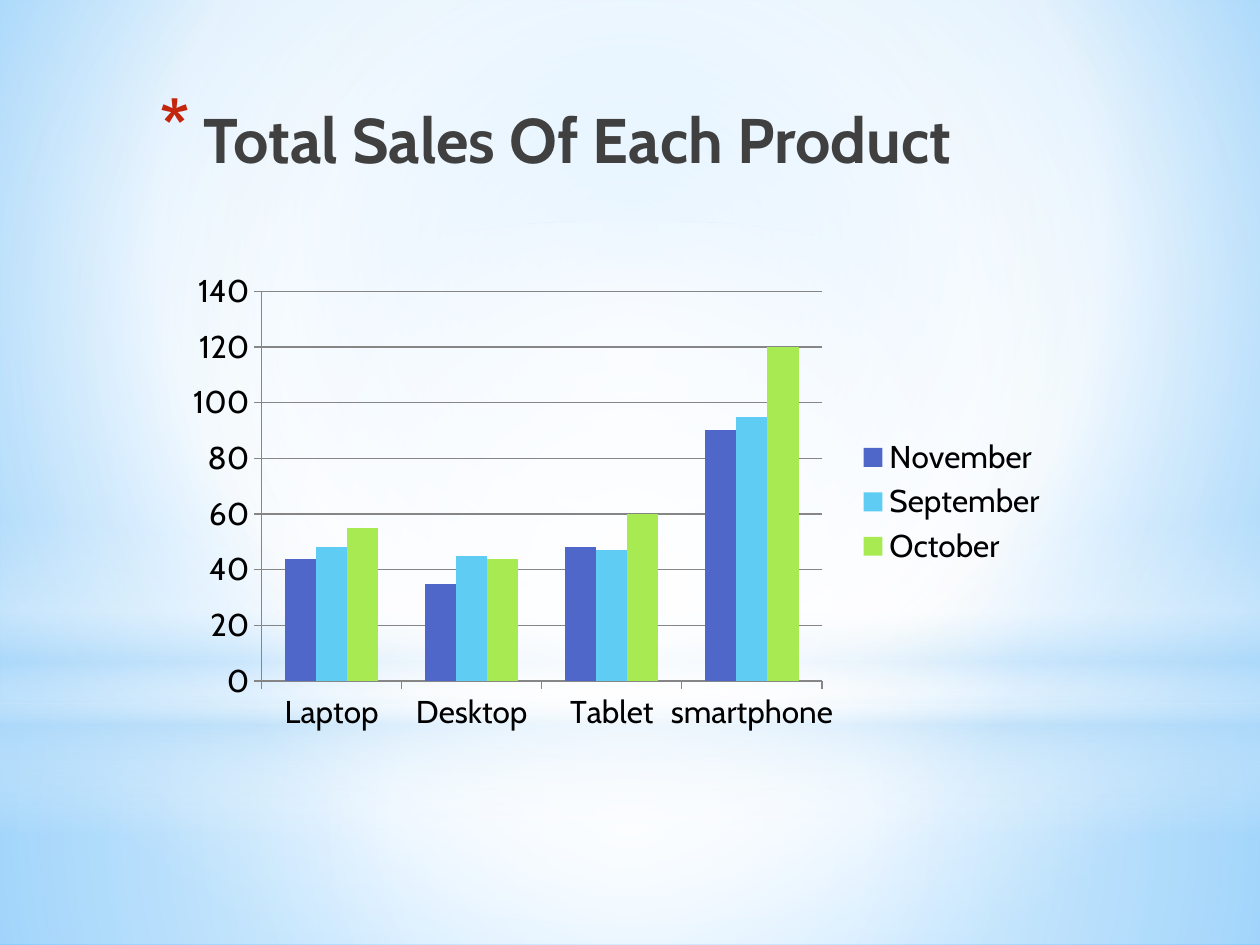
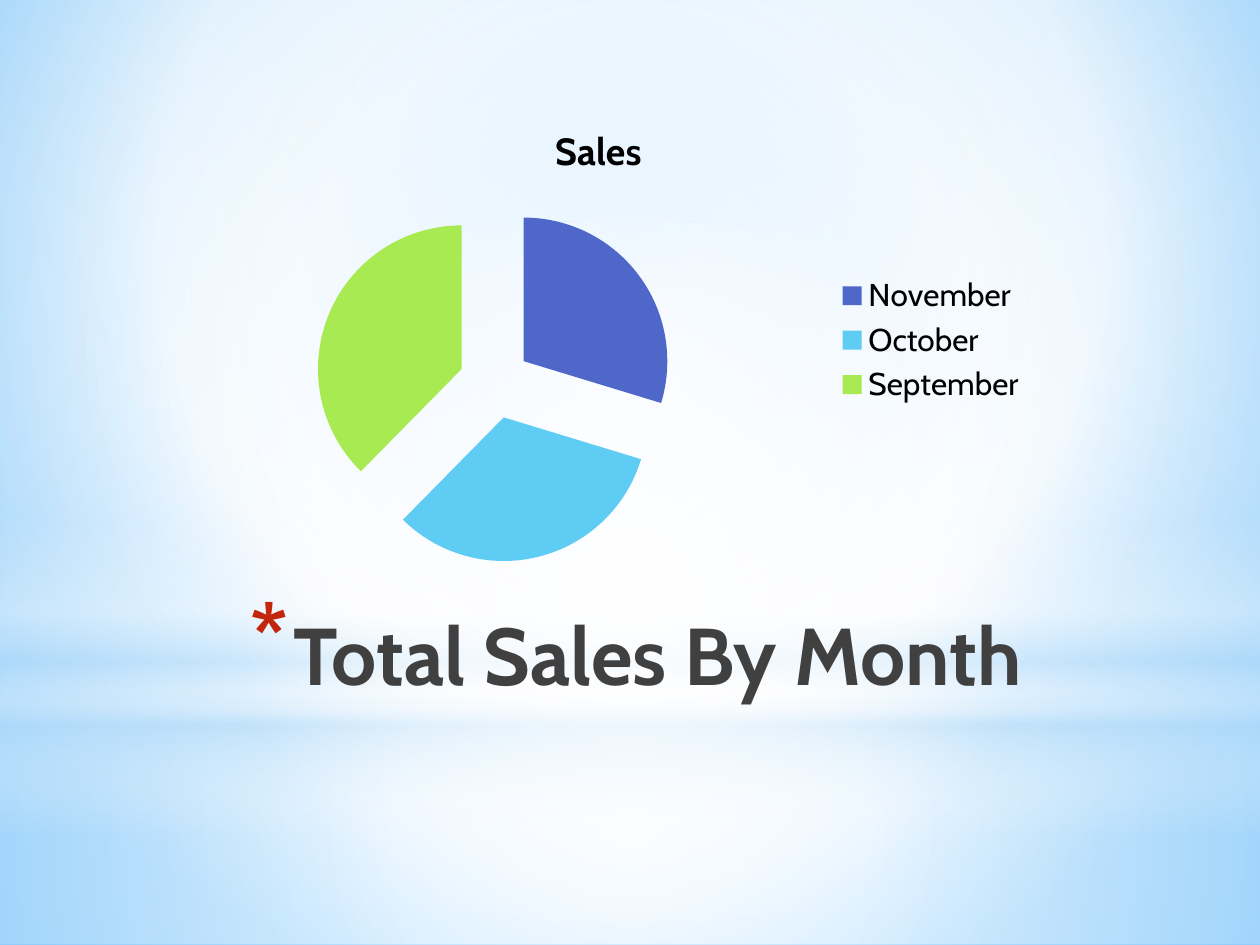
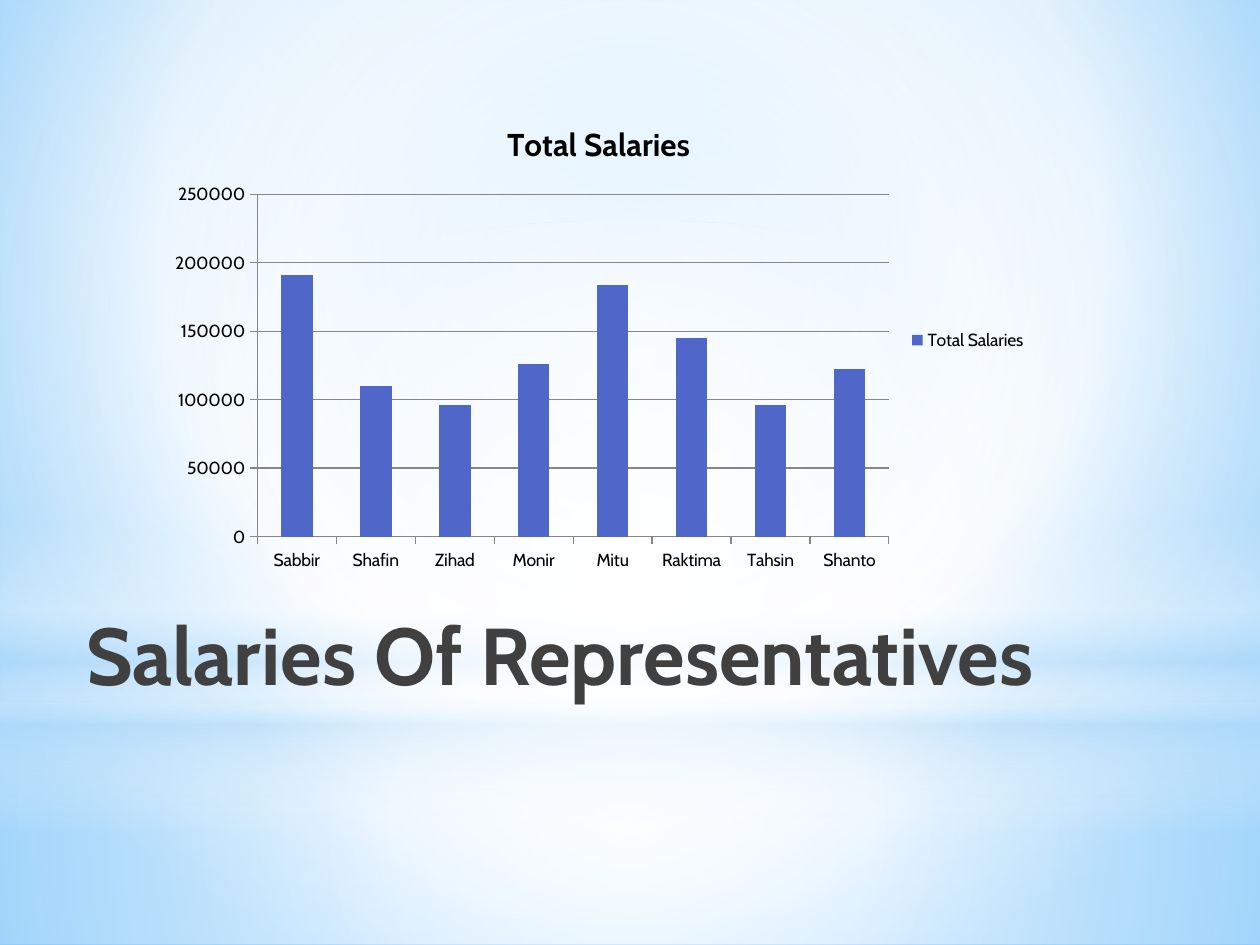
from dataclasses import dataclass

from lxml.etree import SubElement
from pptx import Presentation
from pptx.chart.data import CategoryChartData
from pptx.dml.color import RGBColor
from pptx.enum.chart import XL_CHART_TYPE as Kind, XL_LEGEND_POSITION as LegendSide, XL_TICK_MARK as Tick
from pptx.enum.shapes import MSO_SHAPE as Preset
from pptx.enum.text import MSO_ANCHOR as Anchor, MSO_AUTO_SIZE as AutoSize, PP_ALIGN as Align
from pptx.oxml.ns import qn
from pptx.util import Pt


@dataclass(frozen=True)
class Theme:
    font: str = "Cabin"
    ink: str = "000000"
    bullet: str = "C3260C"
    bullet_indent: int = 25
    bullet_percent: int = 128
    axis: str = "868686"
    axis_width: float = 0.75
    series: tuple = ("4E67C8", "5ECCF3", "A7EA52")
    title_small: int = 36
    title_large: int = 46


THEME = Theme()
MONTH_CHART_BOX = (90, 57.6, 504, 273.6)

# A gradient is its stops (position, colour, opacity) and a focus rectangle or an angle.
CENTRE = (50, 50, 50, 50)
BACKDROP = {"stops": [(0, "9ED5FF", 100), (60, "FFFFFF", 100), (100, "5BB9FF", 100)], "focus": (20, 10, 20, 60)}
TITLE_INK = {"stops": [(0, "000000", 100), (40, "404040", 100), (100, "212745", 65)], "angle": 90}

BANDS = [
    (Preset.RECTANGLE, (0, 402, 720, 138),
     {"stops": [(0, "FFFFFF", 91), (37, "FFFFFF", 76), (100, "B4DCFA", 79)], "focus": CENTRE}),
    (Preset.RECTANGLE, (0, 0, 720, 402),
     {"stops": [(0, "FFFFFF", 89), (48, "FFFFFF", 62), (100, "B4DCFA", 79)], "focus": CENTRE}),
    (Preset.RECTANGLE, (0, 297, 720, 180),
     {"stops": [(0, "FFFFFF", 0), (29, "FFFFFF", 30), (45, "B4DCFA", 40),
                (55, "FFFFFF", 26), (65, "B4DCFA", 60), (100, "FFFFFF", 0)], "angle": 90}),
    (Preset.OVAL, (0, 126, 720, 402),
     {"stops": [(0, "FFFFFF", 100), (56, "FFFFFF", 0)], "focus": CENTRE}),
]

SLIDES = [
    {
        "title": "Total Sales Of Each Product", "title_box": (84, 54, 513, 90),
        "title_size": THEME.title_small, "align": Align.LEFT, "bullet": True,
        "kind": Kind.COLUMN_CLUSTERED, "chart_box": (102, 150, 504, 273.6),
        "size": 18, "chart_title": None,
        "categories": ["Laptop", "Desktop", "Tablet", "smartphone"],
        "series": {"November": [44, 35, 48, 90],
                   "September": [48, 45, 47, 95],
                   "October": [55, 44, 60, 120]},
    },
    {
        "title": "Total Sales By Month", "title_box": (78, 342, 513, 90),
        "title_size": THEME.title_large, "align": Align.RIGHT, "bullet": True,
        "kind": Kind.PIE, "chart_box": MONTH_CHART_BOX,
        "size": 18, "chart_title": ("Sales", 21.6),
        "categories": ["November", "October", "September"],
        "series": {"Sales": [30, 33, 38]},
        "explosion": 25,
    },
    {
        "title": "Salaries Of Representatives", "title_box": (42, 342, 636, 90),
        "title_size": THEME.title_large, "align": Align.LEFT, "bullet": False,
        "kind": Kind.COLUMN_CLUSTERED, "chart_box": MONTH_CHART_BOX,
        "size": 10, "chart_title": ("Total Salaries", 18),
        "categories": ["Sabbir", "Shafin", "Zihad", "Monir", "Mitu", "Raktima", "Tahsin", "Shanto"],
        "series": {"Total Salaries": [191000, 110000, 96000, 126000, 184000, 145000, 96000, 122000]},
    },
]


def points(box):
    return [Pt(length) for length in box]


def add_node(parent, tag, **attributes):
    return SubElement(parent, qn(tag), {name: str(value) for name, value in attributes.items()})


def paint_gradient(fill, element, gradient):
    """Turn fill, which lives inside element, into the given gradient."""
    fill.gradient()
    node = element.find(f".//{qn('a:gradFill')}")
    for child in list(node):
        node.remove(child)
    stops = add_node(node, "a:gsLst")
    for position, colour, opacity in gradient["stops"]:
        stop = add_node(stops, "a:gs", pos=position * 1000)
        shade = add_node(stop, "a:srgbClr", val=colour)
        if opacity < 100:
            add_node(shade, "a:alpha", val=opacity * 1000)
    if "angle" in gradient:
        add_node(node, "a:lin", ang=gradient["angle"] * 60000, scaled=0)
    else:
        circle = add_node(node, "a:path", path="circle")
        edges = {side: share * 1000 for side, share in zip("ltrb", gradient["focus"])}
        add_node(circle, "a:fillToRect", **edges)


def dress_layout(layout, page):
    """Give the layout its backdrop and bands, drawn on page and moved behind the layout title."""
    for holder in list(layout.placeholders)[1:]:
        holder.element.getparent().remove(holder.element)
    paint_gradient(layout.background.fill, layout.element, BACKDROP)
    layout_title = layout.placeholders[0].element
    for preset, box, gradient in BANDS:
        band = page.shapes.add_shape(preset, *points(box))
        band.shadow.inherit = False
        band.line.fill.background()
        paint_gradient(band.fill, band.element, gradient)
        layout_title.addprevious(band.element)


def add_bullet(para):
    indent = Pt(THEME.bullet_indent)
    props = para._p.get_or_add_pPr()
    props.set("marL", str(indent))
    props.set("indent", str(-indent))
    add_node(add_node(props, "a:buClr"), "a:srgbClr", val=THEME.bullet)
    add_node(props, "a:buSzPct", val=THEME.bullet_percent * 1000)
    add_node(props, "a:buChar", char="*")


def set_title(page, content):
    title = page.shapes.title
    title.left, title.top, title.width, title.height = points(content["title_box"])
    frame = title.text_frame
    frame.word_wrap = True
    frame.auto_size = AutoSize.NONE
    frame.vertical_anchor = Anchor.TOP
    para = frame.paragraphs[0]
    para.alignment = content["align"]
    if content["bullet"]:
        add_bullet(para)
    span = para.add_run()
    span.text = content["title"]
    set_font(span.font, content["title_size"], bold=True)
    paint_gradient(span.font.fill, span._r, TITLE_INK)


def set_font(font, size, bold=False):
    font.name = THEME.font
    font.size = Pt(size)
    font.bold = bold


def paint(fill, colour):
    fill.solid()
    fill.fore_color.rgb = RGBColor.from_string(colour)


def style_line(line):
    line.width = Pt(THEME.axis_width)
    paint(line.fill, THEME.axis)


def style_columns(chart):
    plot = chart.plots[0]
    plot.gap_width = 150
    for series, colour in zip(plot.series, THEME.series):
        paint(series.format.fill, colour)
        series.invert_if_negative = False
    for axis in (chart.category_axis, chart.value_axis):
        axis.major_tick_mark = Tick.OUTSIDE
        axis.minor_tick_mark = Tick.NONE
        style_line(axis.format.line)
    chart.value_axis.has_major_gridlines = True
    style_line(chart.value_axis.major_gridlines.format.line)


def style_pie(chart, explosion):
    series = chart.plots[0].series[0]
    for index, colour in enumerate(THEME.series):
        paint(series.points[index].format.fill, colour)
    node = series._element
    spread = add_node(node, "c:explosion", val=explosion)
    node.find(qn("c:dPt")).addprevious(spread)
    for point in node.findall(qn("c:dPt")):
        spread = add_node(point, "c:explosion", val=explosion)
        point.find(qn("c:spPr")).addprevious(spread)


def add_chart(page, content):
    data = CategoryChartData()
    data.categories = content["categories"]
    for name, values in content["series"].items():
        data.add_series(name, values)
    chart = page.shapes.add_chart(content["kind"], *points(content["chart_box"]), data).chart
    set_font(chart.font, content["size"])
    paint(chart.font.fill, THEME.ink)
    chart.has_legend = True
    chart.legend.position = LegendSide.RIGHT
    chart.legend.include_in_layout = False
    chart.has_title = content["chart_title"] is not None
    if chart.has_title:
        text, size = content["chart_title"]
        span = chart.chart_title.text_frame.paragraphs[0].add_run()
        span.text = text
        set_font(span.font, size, bold=True)
        paint(span.font.fill, THEME.ink)
        chart.chart_title.include_in_layout = False
    is_pie = content["kind"] == Kind.PIE
    chart.plots[0].vary_by_categories = is_pie
    if is_pie:
        style_pie(chart, content["explosion"])
    else:
        style_columns(chart)


def main():
    deck = Presentation()
    deck.slide_width, deck.slide_height = Pt(720), Pt(540)
    layout = deck.slide_layouts.get_by_name("Title Only")
    pages = [deck.slides.add_slide(layout) for _ in SLIDES]
    dress_layout(layout, pages[0])
    for page, content in zip(pages, SLIDES):
        set_title(page, content)
        add_chart(page, content)
    deck.save("out.pptx")


if __name__ == "__main__":
    main()
